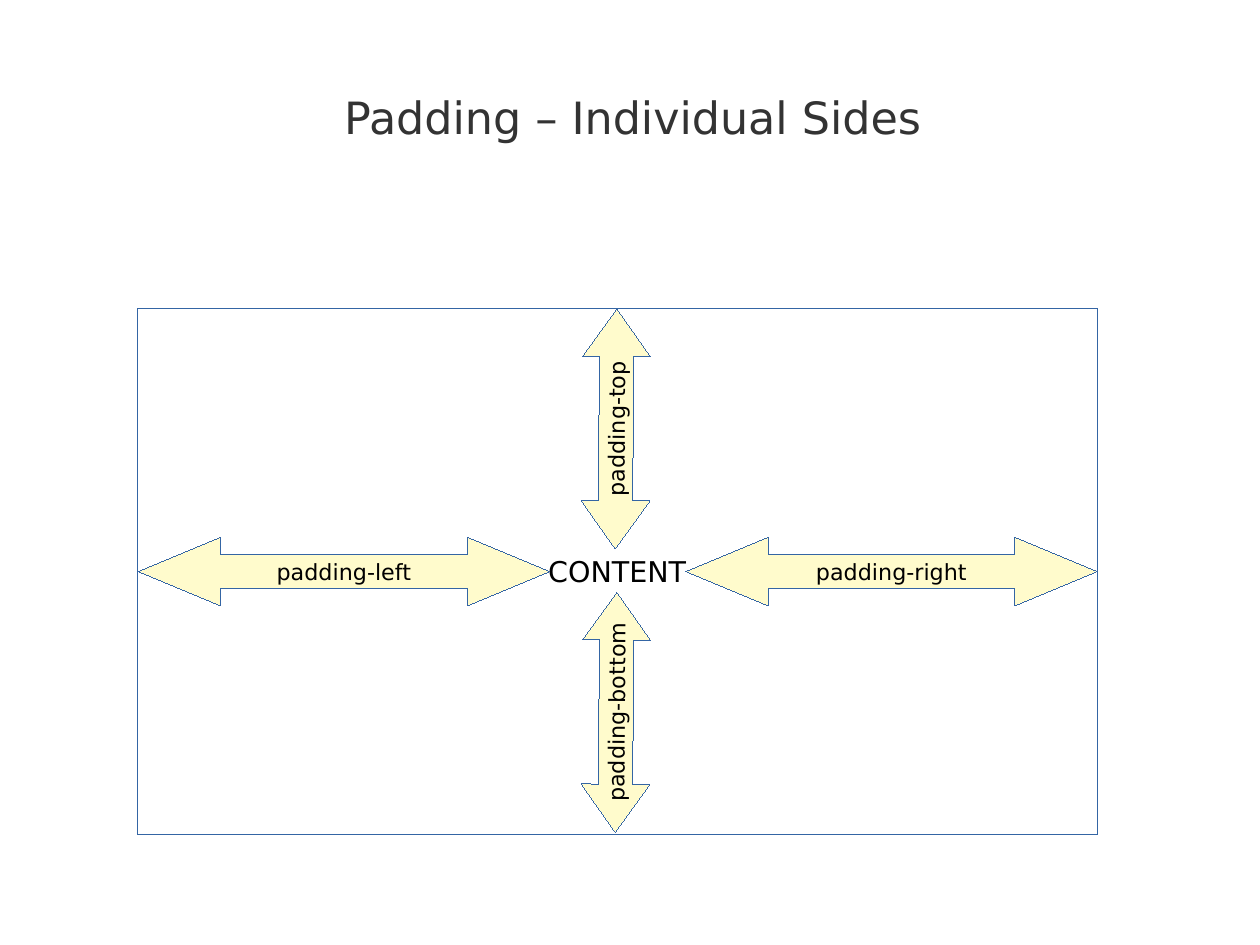
from pptx import Presentation, util as u
from pptx.dml.color import RGBColor
from pptx.enum import shapes, text
from pptx.oxml.ns import qn

PX = 9144  # EMU, 100 px to the inch
FONT = "DejaVu Sans"
WHITE = RGBColor(0xFF, 0xFF, 0xFF)
BLACK = RGBColor(0x00, 0x00, 0x00)
GREY = RGBColor(0x33, 0x33, 0x33)
BLUE = RGBColor(0x34, 0x65, 0xA4)
CREAM = RGBColor(0xFF, 0xFB, 0xCC)

SLIDE_SIZE = (u.Cm(28), u.Cm(21))
TITLE = ("Padding – Individual Sides", (193, 33, 721, 138))
BOX = ("CONTENT", (120, 270, 840, 460))
THICKNESS = 60
HEAD_SHARE = 0.2  # length of one arrowhead relative to the whole arrow
# label, centre x, centre y, length, rotation
PADDINGS = [
    ("padding-right", 780, 500, 360, 0),
    ("padding-top", 539, 375, 210, 270.4),
    ("padding-left", 301, 500, 360, 0),
    ("padding-bottom", 539, 623, 210, 270.4),
]


def emu(lengths):
    return [u.Emu(length * PX) for length in lengths]


def write(shape, words, size, color):
    frame = shape.text_frame
    frame.text = words
    frame.vertical_anchor = text.MSO_ANCHOR.MIDDLE
    paragraph = frame.paragraphs[0]
    paragraph.alignment = text.PP_ALIGN.CENTER
    font = paragraph.runs[0].font
    font.name, font.size, font.color.rgb = FONT, u.Pt(size), color


def add_labelled(slide, kind, bounds, fill, words, size):
    """Add a hairline shape: without theme style the outline keeps its default width."""
    shape = slide.shapes.add_shape(kind, *emu(bounds))
    shape.element.remove(shape.element.find(qn("p:style")))
    shape.shadow.inherit = False
    shape.fill.solid()
    shape.fill.fore_color.rgb = fill
    shape.line.color.rgb = BLUE
    write(shape, words, size, BLACK)
    shape.text_frame.word_wrap = False
    return shape


def main():
    deck = Presentation()
    deck.slide_width, deck.slide_height = SLIDE_SIZE
    slide = deck.slides.add_slide(deck.slide_layouts[5])

    heading, bounds = TITLE
    title = slide.shapes.title
    title.left, title.top, title.width, title.height = emu(bounds)
    write(title, heading, 28, GREY)
    frame = title.text_frame
    frame.auto_size = text.MSO_AUTO_SIZE.NONE
    frame.margin_left = frame.margin_right = frame.margin_top = frame.margin_bottom = 0

    content, bounds = BOX
    add_labelled(slide, shapes.MSO_SHAPE.RECTANGLE, bounds, WHITE, content, 18)

    for label, x, y, length, rotation in PADDINGS:
        bounds = (x - length // 2, y - THICKNESS // 2, length, THICKNESS)
        arrow = add_labelled(slide, shapes.MSO_SHAPE.LEFT_RIGHT_ARROW, bounds, CREAM, label, 14)
        arrow.adjustments[0] = 0.5
        arrow.adjustments[1] = HEAD_SHARE * length / THICKNESS
        arrow.rotation = rotation

    deck.save("out.pptx")


if __name__ == "__main__":
    main()
